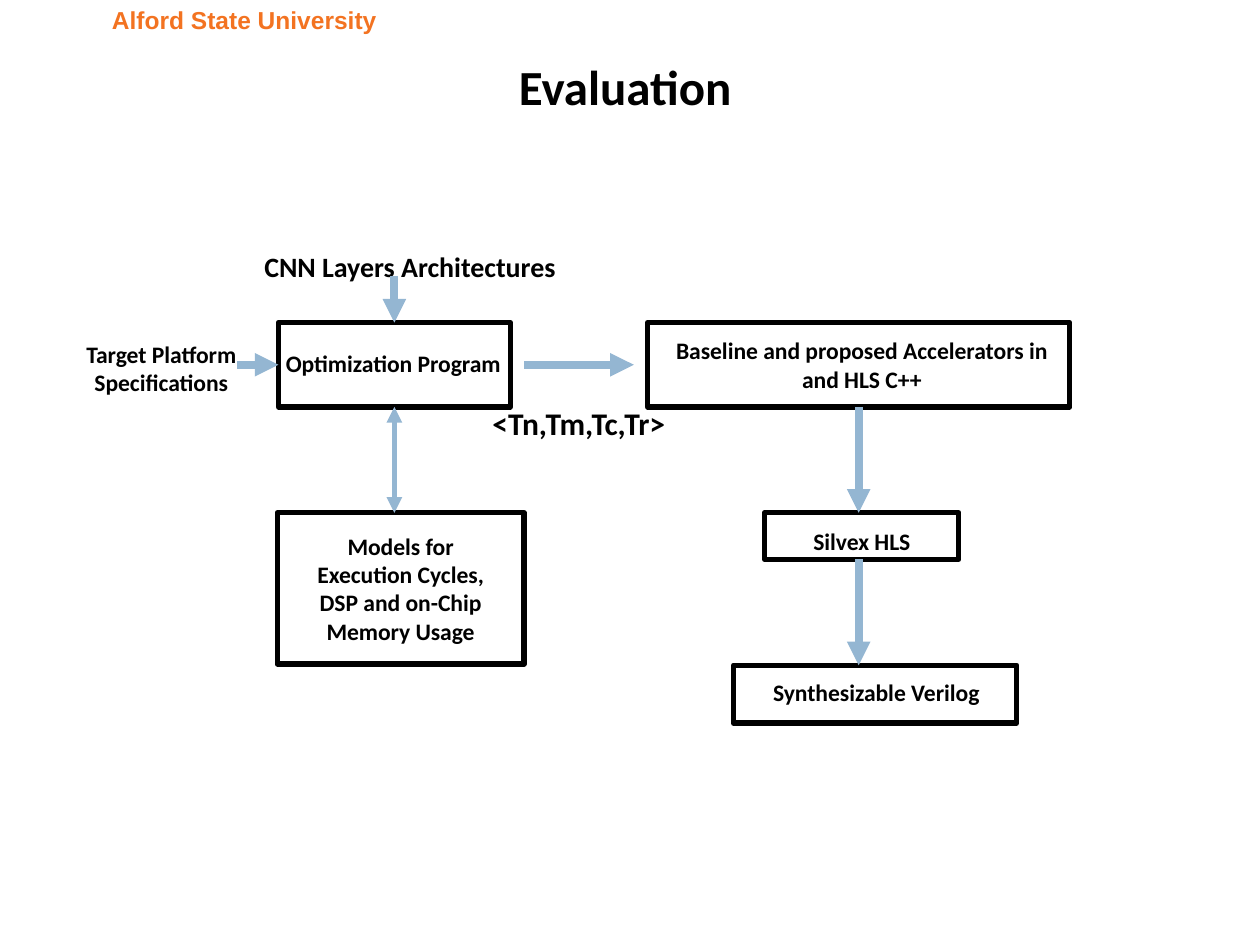
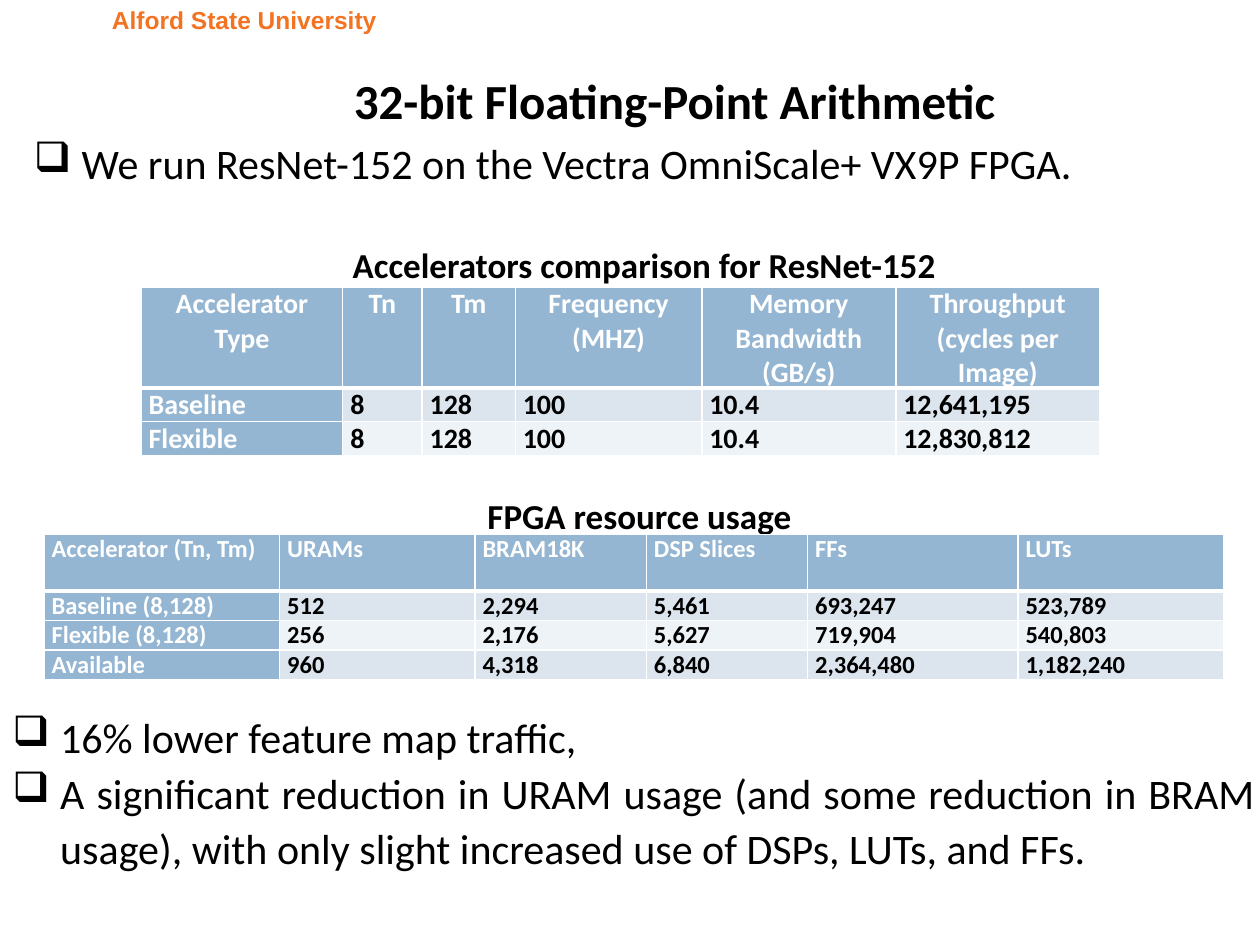
from dataclasses import dataclass

from lxml import etree
from pptx import Presentation
from pptx.dml.color import RGBColor
from pptx.enum.shapes import MSO_CONNECTOR, MSO_SHAPE
from pptx.enum.text import MSO_ANCHOR, MSO_AUTO_SIZE, PP_ALIGN
from pptx.oxml.ns import qn
from pptx.util import Emu, Inches, Pt

LEFT, CENTER, JUSTIFY = PP_ALIGN.LEFT, PP_ALIGN.CENTER, PP_ALIGN.JUSTIFY
MIDDLE = MSO_ANCHOR.MIDDLE
GROW, FIXED = MSO_AUTO_SIZE.SHAPE_TO_FIT_TEXT, MSO_AUTO_SIZE.NONE
RECTANGLE = MSO_SHAPE.RECTANGLE
STRAIGHT = MSO_CONNECTOR.STRAIGHT

SLIDE_W, SLIDE_H = Inches(10), Inches(7.5)
COL, ROW = SLIDE_W / 100, SLIDE_H / 75  # grid of 100 columns by 75 rows


@dataclass(frozen=True)
class Theme:
    body_font: str = "Calibri"
    header_font: str = "Arial"
    ink: str = "000000"
    paper: str = "FFFFFF"
    brand: str = "F37321"
    accent: str = "94B6D2"
    bands: tuple = ("DCE5EE", "EEF3F7")
    header_size: float = 14
    title_size: float = 28
    bullet_size: float = 24
    caption_size: float = 20
    node_size: float = 13.5
    input_size: float = 16
    tiling_size: float = 18
    comparison_size: float = 16
    usage_size: float = 14
    outline: float = 3
    arrow: float = 4.5
    rule: float = 1
    head_rule: float = 3


THEME = Theme()


@dataclass(frozen=True)
class Box:
    """An area in grid columns and rows."""
    left: float
    top: float
    width: float
    height: float

    @property
    def right(self):
        return self.left + self.width

    @property
    def bottom(self):
        return self.top + self.height

    @property
    def center(self):
        return self.left + self.width / 2

    @property
    def middle(self):
        return self.top + self.height / 2

    def inner(self, left, top, width, height):
        return Box(self.left + left, self.top + top, width, height)

    def emu(self):
        return (cols(self.left), rows(self.top),
                cols(self.width), rows(self.height))


def cols(count):
    return Emu(round(count * COL))


def rows(count):
    return Emu(round(count * ROW))


def rgb(color):
    return RGBColor.from_string(color)


def style(paragraph, size, color=THEME.ink, bold=True, align=LEFT,
          font=THEME.body_font):
    paragraph.alignment = align
    for run in paragraph.runs:
        run.font.name = font
        run.font.size = Pt(size)
        run.font.bold = bold
        run.font.color.rgb = rgb(color)


def label(slide, box, text, size, wrap=True, **look):
    frame = slide.shapes.add_textbox(*box.emu()).text_frame
    frame.word_wrap = wrap
    frame.auto_size = GROW
    frame.text = text
    for paragraph in frame.paragraphs:
        style(paragraph, size, **look)
    return frame


def bullets(slide, box, lines, align=LEFT, spacing=None):
    frame = label(slide, box, "\n".join(lines), THEME.bullet_size,
                  bold=False, align=align)
    for paragraph in frame.paragraphs:
        paragraph.line_spacing = spacing
        props = paragraph._p.get_or_add_pPr()
        props.set("marL", str(Inches(0.38)))
        props.set("indent", str(-Inches(0.38)))
        etree.SubElement(props, qn("a:buChar")).set("char", "❑")


def arrow(slide, start, end, weight=THEME.arrow, both_ends=False):
    link = slide.shapes.add_connector(
        STRAIGHT, cols(start[0]), rows(start[1]), cols(end[0]), rows(end[1]))
    link.line.color.rgb = rgb(THEME.accent)
    link.line.width = Pt(weight)
    line = link.line._get_or_add_ln()
    for tag in ("a:headEnd", "a:tailEnd") if both_ends else ("a:tailEnd",):
        etree.SubElement(line, qn(tag)).set("type", "triangle")
    etree.SubElement(link._element.spPr, qn("a:effectLst"))


def node(slide, box, caption_box, caption, align=CENTER):
    frame = slide.shapes.add_shape(RECTANGLE, *box.emu())
    frame.shadow.inherit = False
    frame.fill.background()
    frame.line.color.rgb = rgb(THEME.ink)
    frame.line.width = Pt(THEME.outline)
    label(slide, caption_box, caption, THEME.node_size, align=align)
    return box


def cell_borders(cell, top, bottom):
    props = cell._tc.get_or_add_tcPr()
    sides = {"L": THEME.rule, "R": THEME.rule, "T": top, "B": bottom}
    for side, weight in sides.items():
        line = etree.SubElement(props, qn("a:ln" + side), w=str(Pt(weight)))
        fill = etree.SubElement(line, qn("a:solidFill"))
        etree.SubElement(fill, qn("a:srgbClr")).set("val", THEME.paper)


def data_table(slide, box, widths, heights, records, size, head_align=LEFT):
    table = slide.shapes.add_table(
        len(records), len(widths), *box.emu()).table
    for column, width in zip(table.columns, widths):
        column.width = cols(width)
    for row, height in zip(table.rows, heights):
        row.height = rows(height)
    for r, record in enumerate(records):
        for c, value in enumerate(record):
            cell = table.cell(r, c)
            cell.margin_left = cell.margin_right = Inches(0.06)
            cell.margin_top = cell.margin_bottom = 0
            cell.text = value
            heading = r == 0 or c == 0
            style(cell.text_frame.paragraphs[0], size,
                  color=THEME.paper if heading else THEME.ink,
                  align=head_align if r == 0 else LEFT)
            cell_borders(cell,
                         top=THEME.head_rule if r == 1 else THEME.rule,
                         bottom=THEME.head_rule if r == 0 else THEME.rule)
            cell.fill.solid()
            cell.fill.fore_color.rgb = rgb(
                THEME.accent if heading else THEME.bands[(r - 1) % 2])


def new_slide(deck, title, title_box):
    slide = deck.slides.add_slide(deck.slide_layouts[6])
    # University header
    header = label(slide, Box(3.6, 0.1, 31.6, 3), "Alford State University",
                   THEME.header_size, color=THEME.brand, align=CENTER,
                   font=THEME.header_font)
    header.auto_size = FIXED
    header.vertical_anchor = MIDDLE
    # Title
    label(slide, title_box, title, THEME.title_size, wrap=False)
    return slide


def tool_flow(slide, area):
    # Processing steps
    optimizer = node(slide, area.inner(18.1, 6.6, 18.4, 6.7),
                     area.inner(17.7, 8.2, 21.5, 3.3),
                     "Optimization Program", align=LEFT)
    accelerators = node(slide, area.inner(47.4, 6.6, 33.5, 6.7),
                        area.inner(48.5, 7.2, 31.8, 5.6),
                        "Baseline and proposed Accelerators in and HLS C++")
    models = node(slide, area.inner(18, 21.7, 19.6, 12),
                  area.inner(19.1, 22.7, 17.4, 10.1),
                  "Models for Execution Cycles, DSP and on-Chip Memory Usage")
    synthesis = node(slide, area.inner(56.7, 21.7, 15.4, 3.7),
                     area.inner(48.5, 22.3, 31.8, 3.3), "Silvex HLS")
    verilog = node(slide, area.inner(54.2, 33.8, 22.5, 4.6),
                   area.inner(54.4, 34.3, 22.3, 3.3), "Synthesizable Verilog")

    # Inputs and the tiling factors passed on
    label(slide, area.inner(16, 0.3, 30.3, 3.7), "CNN Layers Architectures",
          THEME.input_size)
    label(slide, area.inner(0.2, 7.5, 17.2, 5.6),
          "Target Platform Specifications", THEME.node_size, align=CENTER)
    label(slide, area.inner(34.1, 12.6, 17.1, 4), "<Tn,Tm,Tc,Tr>",
          THEME.tiling_size, wrap=False)

    # Arrows between steps
    gap = 1.1
    arrow(slide, (optimizer.left - 3 * gap, optimizer.middle),
          (optimizer.left, optimizer.middle))
    arrow(slide, (optimizer.center, optimizer.top - 3.7),
          (optimizer.center, optimizer.top))
    arrow(slide, (optimizer.right + gap, optimizer.middle),
          (accelerators.left - gap, optimizer.middle))
    arrow(slide, (optimizer.center, optimizer.bottom),
          (optimizer.center, models.top), THEME.outline, both_ends=True)
    for upper, lower in ((accelerators, synthesis), (synthesis, verilog)):
        arrow(slide, (accelerators.center, upper.bottom),
              (accelerators.center, lower.top))


def accelerator_comparison(slide, area):
    label(slide, area.inner(15.8, 0, 54.1, 4.4),
          "Accelerators comparison for ResNet-152", THEME.caption_size,
          wrap=False)
    data_table(
        slide, area.inner(0, 4, 76.1, 12.6),
        (16, 6.3, 7.4, 14.8, 15.4, 16.2), (7.6, 2.5, 2.5),
        (("Accelerator Type", "Tn", "Tm", "Frequency (MHZ)",
          "Memory Bandwidth (GB/s)", "Throughput (cycles per Image)"),
         ("Baseline", "8", "128", "100", "10.4", "12,641,195"),
         ("Flexible", "8", "128", "100", "10.4", "12,830,812")),
        THEME.comparison_size, head_align=CENTER)


def resource_usage(slide, area):
    caption = label(slide, area.inner(31.6, 0, 30.1, 4.4),
                    "FPGA resource usage", THEME.caption_size, wrap=False,
                    align=CENTER).paragraphs[0]
    caption.line_spacing = 1.1
    caption._p.get_or_add_pPr().set("indent", str(Inches(0.12)))
    data_table(
        slide, area.inner(0, 4, 93.6, 11.4),
        (18.7, 15.5, 13.6, 12.8, 16.7, 16.3), (4.5, 2.3, 2.3, 2.3),
        (("Accelerator (Tn, Tm)", "URAMs", "BRAM18K", "DSP Slices", "FFs",
          "LUTs"),
         ("Baseline (8,128)", "512", "2,294", "5,461", "693,247", "523,789"),
         ("Flexible (8,128)", "256", "2,176", "5,627", "719,904", "540,803"),
         ("Available", "960", "4,318", "6,840", "2,364,480", "1,182,240")),
        THEME.usage_size)


def evaluation_slide(deck):
    slide = new_slide(deck, "Evaluation", Box(40.2, 4, 19.5, 5.7))
    tool_flow(slide, Box(4, 19, 81, 39))


def arithmetic_slide(deck):
    slide = new_slide(deck, "32-bit Floating-Point Arithmetic",
                      Box(27.1, 5.1, 52.9, 5.7))
    bullets(slide, Box(1.7, 10.4, 96.9, 5),
            ["We run ResNet-152 on the Vectra OmniScale+ VX9P FPGA."])
    accelerator_comparison(slide, Box(11.2, 18.8, 76.1, 17.3))
    resource_usage(slide, Box(3.5, 38.4, 93.6, 15.5))
    # Findings
    bullets(slide, Box(0, 55.6, 100.6, 14.3),
            ["16% lower feature map traffic,",
             "A significant reduction in URAM usage (and some reduction in "
             "BRAM usage), with only slight increased use of DSPs, LUTs, "
             "and FFs."],
            align=JUSTIFY, spacing=1.1)


presentation = Presentation()
presentation.slide_width, presentation.slide_height = SLIDE_W, SLIDE_H
evaluation_slide(presentation)
arithmetic_slide(presentation)
presentation.save("out.pptx")
